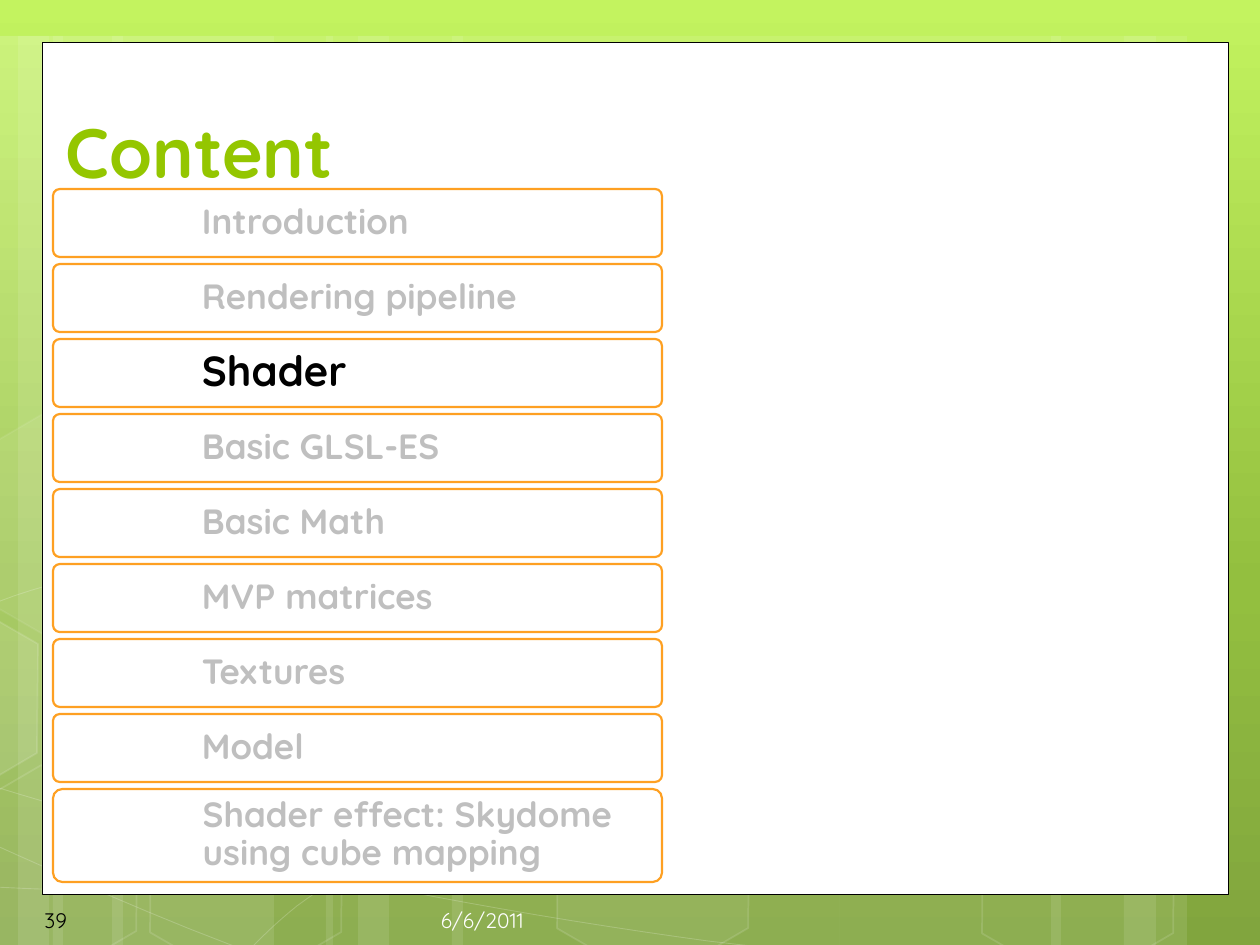
from dataclasses import dataclass

from lxml.etree import SubElement
from pptx import Presentation
from pptx.dml.color import RGBColor
from pptx.enum.shapes import MSO_SHAPE
from pptx.enum.text import MSO_ANCHOR, MSO_AUTO_SIZE, PP_ALIGN
from pptx.oxml.ns import qn
from pptx.util import Pt

EMU_PER_PX = 914400 / 126
SLIDE_WIDTH, SLIDE_HEIGHT = 1260, 945


@dataclass(frozen=True)
class Theme:
    font: str = "Quicksand"
    white: str = "FFFFFF"
    black: str = "000000"
    title: str = "94C600"
    muted: str = "BFBFBF"
    border: str = "FEA022"
    date: str = "FEFEFE"
    backdrop: tuple = ((0, "C3F35F"), (62, "93BF3F"), (100, "81A53E"))
    title_size: int = 40
    topic_size: int = 20
    current_size: int = 24
    footer_size: int = 12


THEME = Theme()

TOPICS = ["Introduction", "Rendering pipeline", "Shader", "Basic GLSL-ES", "Basic Math",
          "MVP matrices", "Textures", "Model", "Shader effect: Skydome using cube mapping"]
CURRENT_TOPIC = "Shader"

# Left edge and width of each translucent vertical band.
BANDS = [(53, 221), (-42, 105), (112, 221), (-14, 63), (18, 105), (840, 221),
         (1124, 63), (1051, 105), (452, 388), (326, 63), (358, 105)]

# Start point, then two control points and an end point per segment.
CURVES = [
    [(-74, 883), (-6, 887), (62, 892), (156, 890), (251, 888), (368, 886), (494, 873),
     (620, 861), (799, 837), (915, 813), (1029, 789), (1148, 751), (1186, 730)],
    [(-74, 636), (-38, 617), (-1, 597), (69, 580), (141, 561), (243, 533), (354, 523),
     (466, 514), (602, 514), (741, 523), (879, 533), (1110, 572), (1186, 582)],
    [(-76, 813), (77, 882), (228, 951), (338, 980)],
    [(-74, 764), (-35, 777), (5, 791), (78, 811), (151, 832), (261, 862), (365, 883),
     (471, 905), (604, 927), (708, 941), (813, 954), (925, 959), (992, 964),
     (1057, 968), (1134, 965), (1186, 960)],
    [(222, 980), (244, 955), (267, 930), (297, 906), (328, 883), (370, 858), (406, 840),
     (441, 824), (462, 816), (508, 803), (554, 790), (639, 772), (683, 764),
     (728, 756), (735, 756), (774, 752), (813, 750), (874, 746), (917, 745),
     (961, 743), (1150, 744), (1184, 750)],
]

# Left, top, fill opacity and line opacity; None leaves a hexagon unfilled.
HEXAGONS = [(543, 777, 6, 12), (-69, 780, None, 12), (-66, 428, 7, 8),
            (136, 781, None, 12), (968, 782, None, 12)]
CUT_HEXAGON = [(-73, 596), (-59, 588), (38, 644), (37, 753), (-58, 809), (-73, 801)]


def px(length):
    return round(length * EMU_PER_PX)


def set_opacity(properties, percent):
    for color in properties.iter(qn("a:srgbClr")):
        SubElement(color, qn("a:alpha")).set("val", str(percent * 1000))


def paint(shape, fill=None, line=None, line_width=1, fill_opacity=100, line_opacity=100):
    shape.shadow.inherit = False
    properties = shape._element.spPr
    if fill:
        shape.fill.solid()
        shape.fill.fore_color.rgb = RGBColor.from_string(fill)
        if fill_opacity < 100:
            set_opacity(properties.find(qn("a:solidFill")), fill_opacity)
    else:
        shape.fill.background()
    if line:
        shape.line.color.rgb = RGBColor.from_string(line)
        shape.line.width = Pt(line_width)
        if line_opacity < 100:
            set_opacity(properties.find(qn("a:ln")), line_opacity)
    else:
        shape.line.fill.background()


def add_box(slide, kind, left, top, width, height, **style):
    box = slide.shapes.add_shape(kind, px(left), px(top), px(width), px(height))
    paint(box, **style)
    return box


def add_outline(slide, points, close, **style):
    start, *rest = [(px(x), px(y)) for x, y in points]
    builder = slide.shapes.build_freeform(*start)
    builder.add_line_segments(rest, close=close)
    paint(builder.convert_to_shape(), **style)


def curve_points(anchors, steps=10):
    """Sample a chain of cubic Bézier segments."""
    points = [anchors[0]]
    for first in range(0, len(anchors) - 1, 3):
        segment = anchors[first:first + 4]
        for step in range(1, steps + 1):
            t = step / steps
            weights = ((1 - t) ** 3, 3 * t * (1 - t) ** 2, 3 * t * t * (1 - t), t ** 3)
            points.append(tuple(sum(w * p[axis] for w, p in zip(weights, segment))
                                for axis in (0, 1)))
    return points


def write_text(shape, text, size, color, bold=False, align=PP_ALIGN.LEFT,
               anchor=MSO_ANCHOR.MIDDLE, line_spacing=1.0):
    frame = shape.text_frame
    frame.word_wrap = True
    frame.auto_size = MSO_AUTO_SIZE.NONE
    frame.vertical_anchor = anchor
    paragraph = frame.paragraphs[0]
    paragraph.alignment = align
    paragraph.line_spacing = line_spacing
    run = paragraph.add_run()
    run.text = text
    run.font.name = THEME.font
    run.font.size = Pt(size)
    run.font.bold = bold
    run.font.color.rgb = RGBColor.from_string(color)


def fill_background(slide):
    fill = slide.background.fill
    fill.gradient()
    fill.gradient_angle = 270
    stops = slide.background._cSld.find(".//" + qn("a:gsLst"))
    for stop in list(stops):
        stops.remove(stop)
    for position, color in THEME.backdrop:
        stop = SubElement(stops, qn("a:gs"), pos=str(position * 1000))
        SubElement(stop, qn("a:srgbClr"), val=color)


def add_decoration(slide):
    for left, width in BANDS:
        add_box(slide, MSO_SHAPE.RECTANGLE, left, 36, width, SLIDE_HEIGHT,
                fill=THEME.white, fill_opacity=10)
    for anchors in CURVES:
        add_outline(slide, curve_points(anchors), close=False,
                    line=THEME.white, line_width=0.5, line_opacity=20)
    for left, top, fill_opacity, line_opacity in HEXAGONS:
        hexagon = add_box(slide, MSO_SHAPE.HEXAGON, left, top, 220, 192,
                          fill=THEME.white if fill_opacity else None,
                          fill_opacity=fill_opacity or 100,
                          line=THEME.white, line_opacity=line_opacity)
        hexagon.adjustments[0] = 0.285
        hexagon.rotation = 30
    add_outline(slide, CUT_HEXAGON, close=True, fill=THEME.white, fill_opacity=10,
                line=THEME.white, line_opacity=12)


def add_title(slide, text):
    title = slide.shapes.title
    slide.shapes._spTree.append(title._element)  # bring in front of the panel
    title.left, title.top, title.width, title.height = map(px, (53, 42, 1165, 157))
    write_text(title, text, THEME.title_size, THEME.title, bold=True,
               anchor=MSO_ANCHOR.BOTTOM)


def add_footer(slide, text, left, width, **style):
    box = slide.shapes.add_textbox(px(left), px(895), px(width), px(50))
    write_text(box, text, THEME.footer_size, **style)


def add_topics(slide):
    for row, topic in enumerate(TOPICS):
        height = 93 if topic == TOPICS[-1] else 68
        box = add_box(slide, MSO_SHAPE.ROUNDED_RECTANGLE, 53, 189 + 75 * row, 609, height,
                      fill=THEME.white, line=THEME.border, line_width=1.25)
        box.adjustments[0] = 0.1
        frame = box.text_frame
        frame.margin_left = px(147)
        frame.margin_top = frame.margin_right = frame.margin_bottom = px(6)
        current = topic == CURRENT_TOPIC
        write_text(box, topic, THEME.current_size if current else THEME.topic_size,
                   THEME.black if current else THEME.muted, bold=True, line_spacing=0.9)


def main():
    deck = Presentation()
    deck.slide_width, deck.slide_height = px(SLIDE_WIDTH), px(SLIDE_HEIGHT)
    slide = deck.slides.add_slide(deck.slide_layouts[5])
    fill_background(slide)
    add_decoration(slide)
    add_box(slide, MSO_SHAPE.RECTANGLE, 42, 42, 1187, 852,
            fill=THEME.white, line=THEME.black, line_width=0.5)
    add_title(slide, "Content")
    add_footer(slide, "39", 32, 184, color=THEME.black)
    add_footer(slide, "6/6/2011", 242, 294, color=THEME.date, align=PP_ALIGN.RIGHT)
    add_topics(slide)
    deck.save("out.pptx")


if __name__ == "__main__":
    main()
